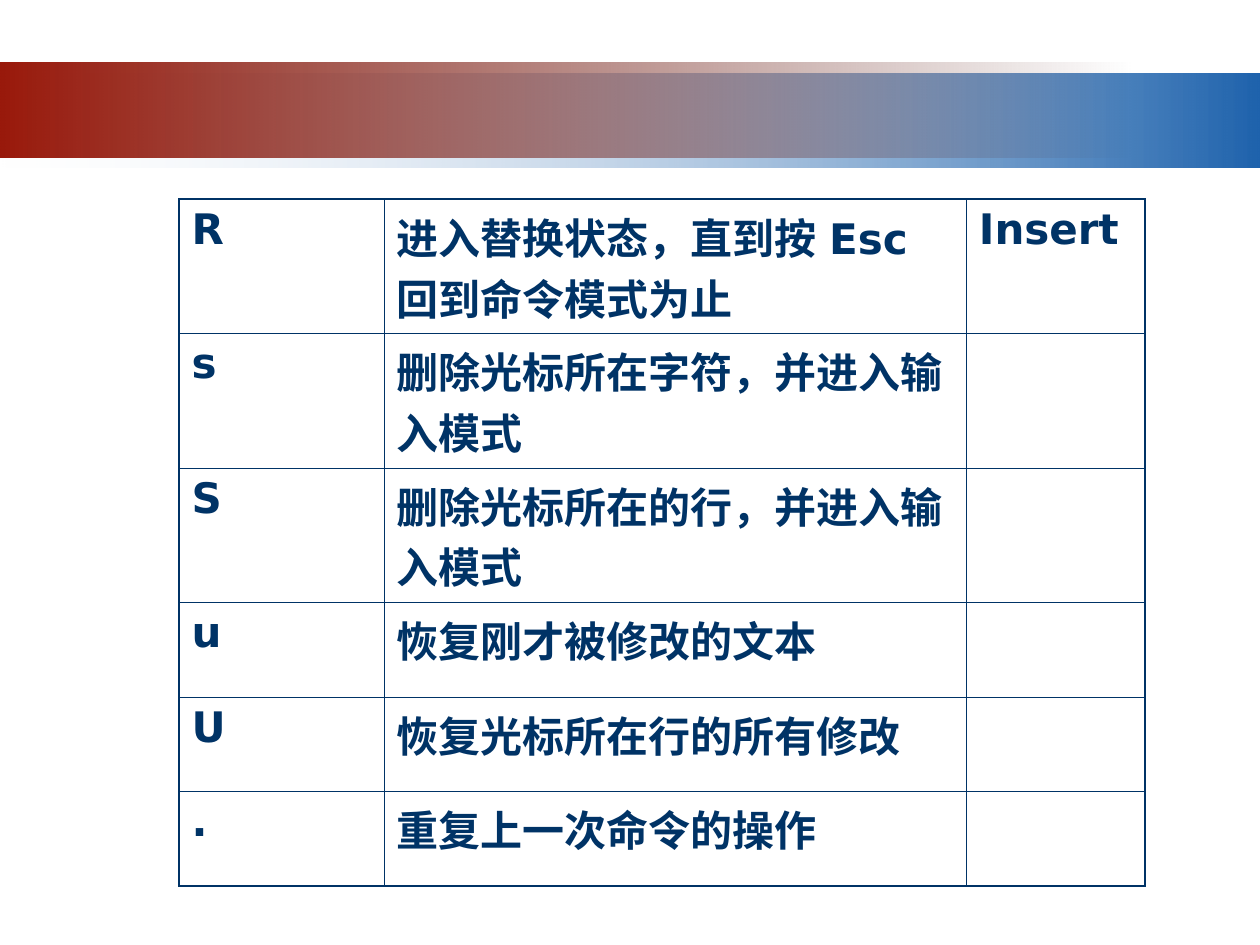
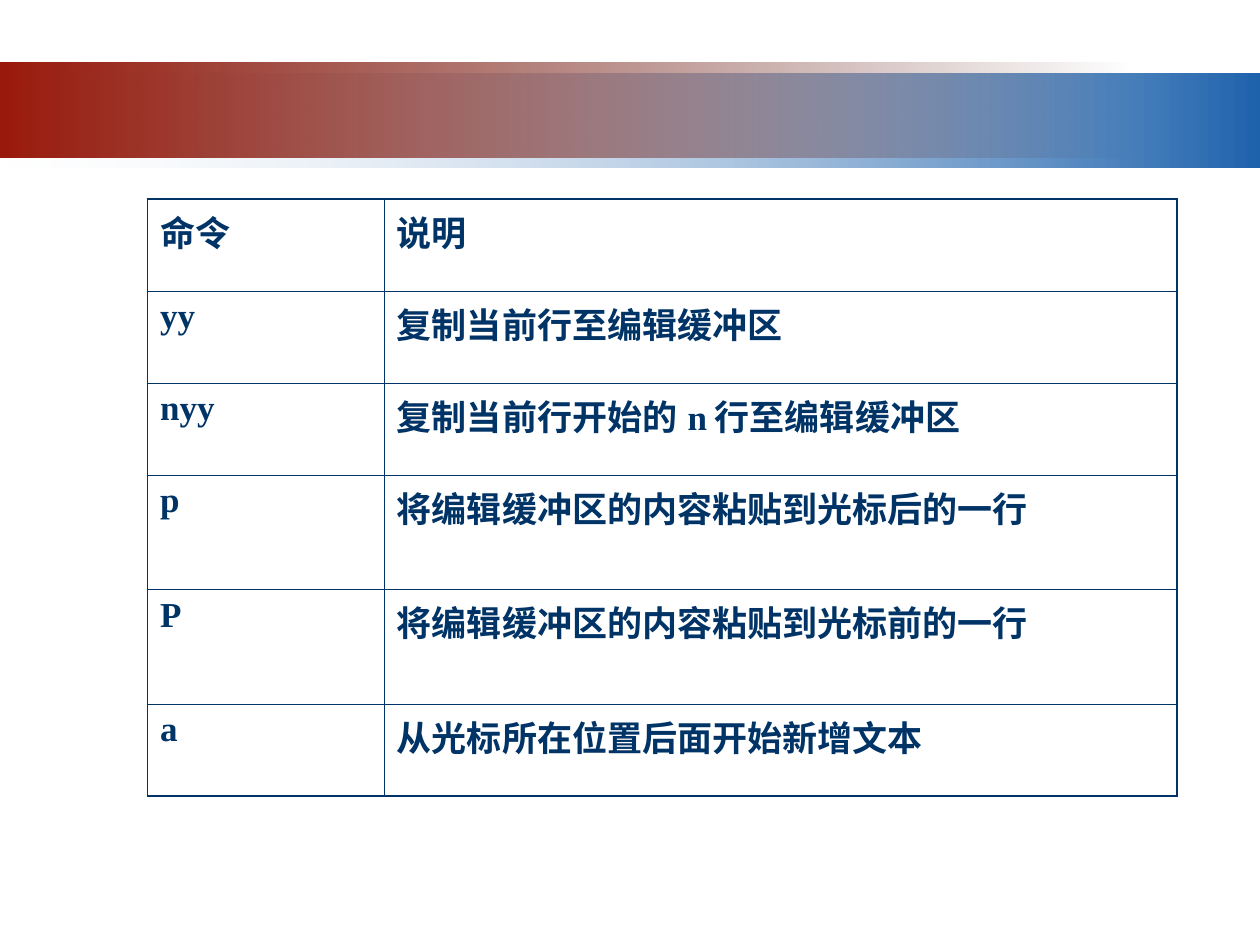
from lxml.etree import SubElement
from pptx import Presentation
from pptx.dml.color import RGBColor
from pptx.enum.shapes import MSO_SHAPE
from pptx.oxml.ns import qn
from pptx.util import Emu, Pt

PX = 9144  # one px is a hundredth of an inch
NAVY = "003366"
OUTER_LINE, INNER_LINE = Pt(1.08), Pt(0.45)


def px(length):
    return Emu(length * PX)


def colour(value):
    return RGBColor.from_string(value)


deck = Presentation()
deck.slide_width, deck.slide_height = px(1000), px(750)
layout = deck.slide_layouts[6]
for placeholder in list(layout.placeholders):
    layout.shapes.element.remove(placeholder.element)

# Contents: left edge, column widths, row heights, text style, rows
command_tables = [
    dict(left=142, columns=[163, 462, 142], heights=[93, 93, 92, 75, 75, 75],
         font="DejaVu Sans", size=24, before=6, rows=[
             ("R", "进入替换状态，直到按Esc回到命令模式为止", "Insert"),
             ("s", "删除光标所在字符，并进入输入模式", ""),
             ("S", "删除光标所在的行，并进入输入模式", ""),
             ("u", "恢复刚才被修改的文本", ""),
             ("U", "恢复光标所在行的所有修改", ""),
             (".", "重复上一次命令的操作", "")]),
    dict(left=117, columns=[188, 629], heights=[73, 73, 73, 91, 91, 73],
         font="Times New Roman", size=20, before=0, rows=[
             ("命令", "说明"),
             ("yy", "复制当前行至编辑缓冲区"),
             ("nyy", "复制当前行开始的n行至编辑缓冲区"),
             ("p", "将编辑缓冲区的内容粘贴到光标后的一行"),
             ("P", "将编辑缓冲区的内容粘贴到光标前的一行"),
             ("a", "从光标所在位置后面开始新增文本")]),
]
slides = [deck.slides.add_slide(layout) for _ in command_tables]

# Header bands: top, width, gradient colours from right to left, clear stop
bands = []
for top, width, stops, clear_stop in [
        (58, 1000, ("1F63AD", "E2EAF3"), 1),
        (50, 900, ("460B05", "99190B"), 0)]:
    band = slides[0].shapes.add_shape(
        MSO_SHAPE.RECTANGLE, 0, px(top), px(width), px(75))
    band.shadow.inherit = False
    band.line.fill.background()
    band.fill.gradient()
    band.fill.gradient_angle = 180
    for stop, value in zip(band.fill.gradient_stops, stops):
        stop.color.rgb = colour(value)
    stop_colours = list(band.element.spPr.iter(qn("a:srgbClr")))
    SubElement(stop_colours[clear_stop], qn("a:alpha"), val="0")
    bands.append(band)

# The layout carries the bands for every slide
for band in bands:
    layout.shapes.element.append(band.element)

# Command tables
for slide, content in zip(slides, command_tables):
    columns, heights, rows = content["columns"], content["heights"], content["rows"]
    frame = slide.shapes.add_table(
        len(rows), len(columns), px(content["left"]), px(158),
        px(sum(columns)), px(sum(heights)))
    commands = frame.table
    commands.first_row = commands.horz_banding = False
    for column, width in zip(commands.columns, columns):
        column.width = px(width)
    for row, height in zip(commands.rows, heights):
        row.height = px(height)

    cell_elements = frame.element.iter(qn("a:tc"))
    for index, (cell, element) in enumerate(zip(commands.iter_cells(), cell_elements)):
        row, column = divmod(index, len(columns))

        # Heavier lines around the outside
        properties = element.get_or_add_tcPr()
        for side, is_outer in [("L", column == 0),
                               ("R", column == len(columns) - 1),
                               ("T", row == 0),
                               ("B", row == len(rows) - 1)]:
            line = SubElement(properties, qn("a:ln" + side),
                              w=str(OUTER_LINE if is_outer else INNER_LINE))
            SubElement(SubElement(line, qn("a:solidFill")), qn("a:srgbClr"), val=NAVY)
        cell.fill.background()

        # Text
        cell.text_frame.text = rows[row][column]
        paragraph = cell.text_frame.paragraphs[0]
        paragraph.space_before = Pt(content["before"])
        for run in paragraph.runs:
            run.font.name = content["font"]
            run.font.size = Pt(content["size"])
            run.font.bold = True
            run.font.color.rgb = colour(NAVY)

deck.save("out.pptx")
